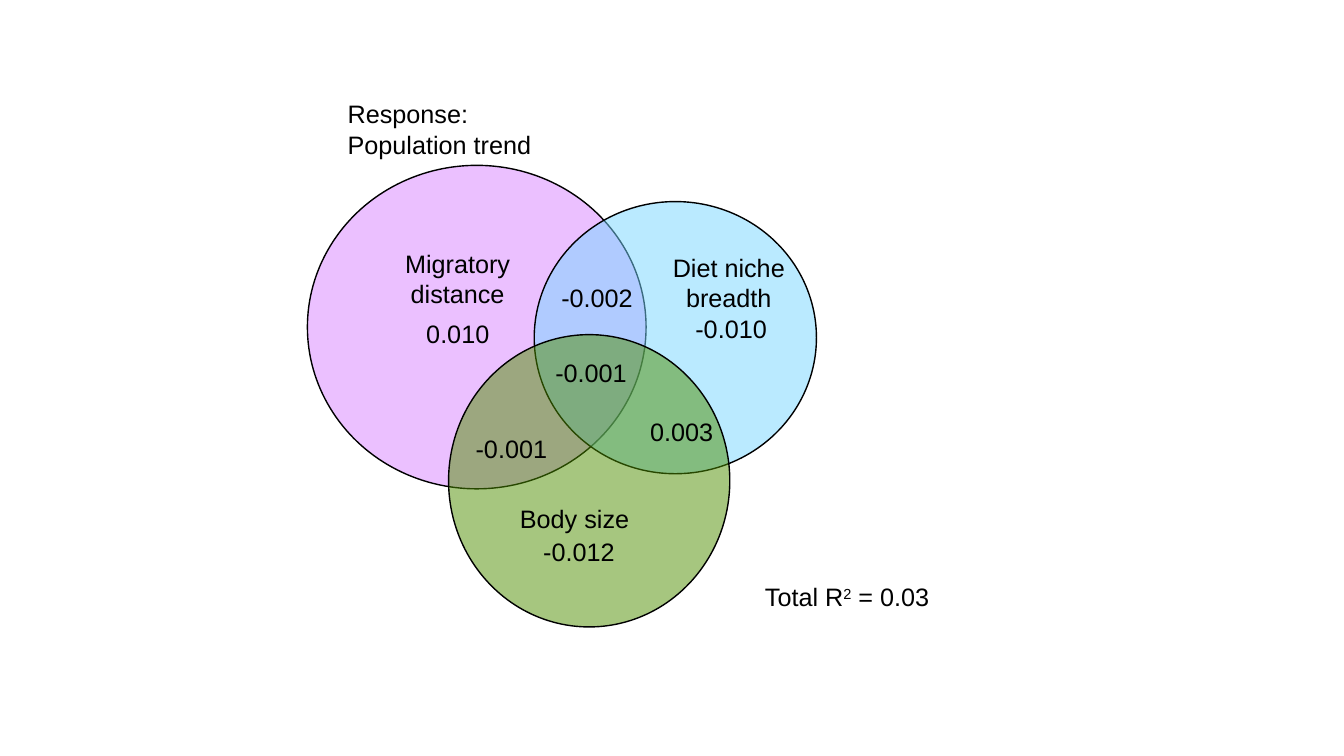
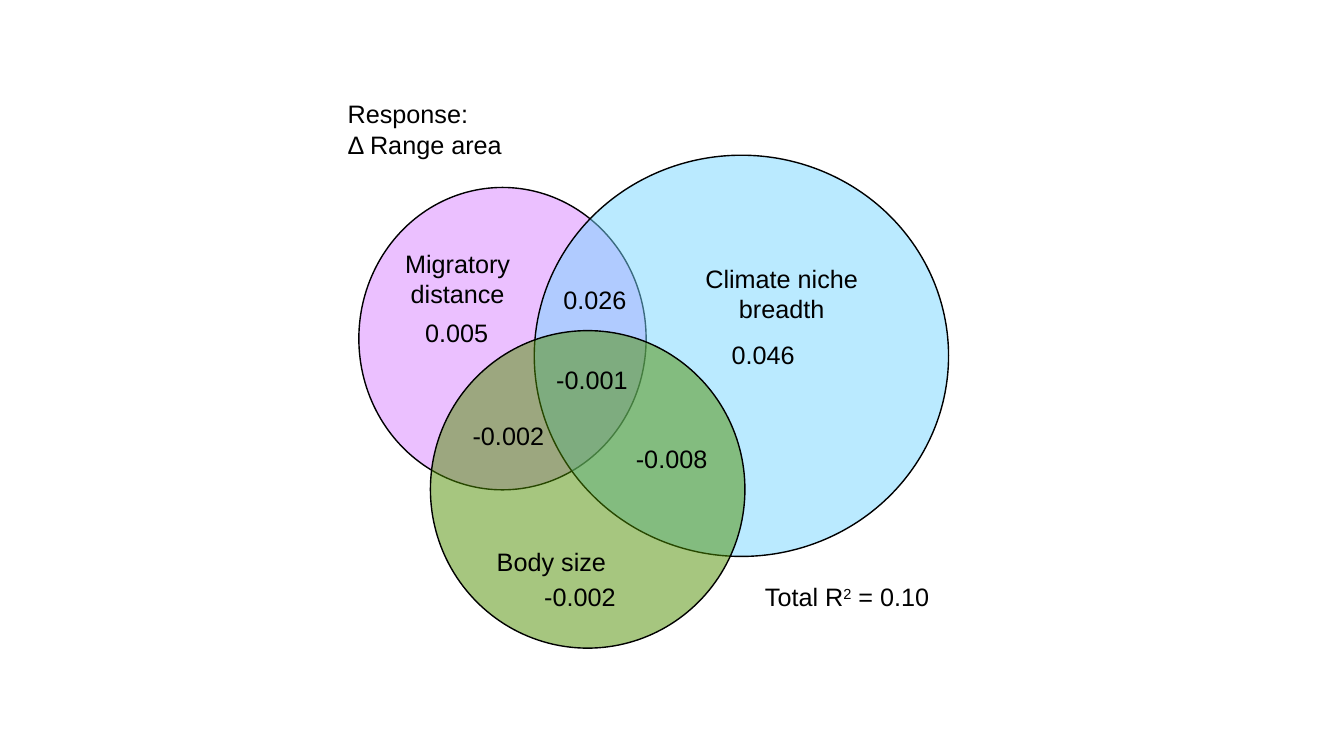
from lxml.etree import SubElement
from pptx import Presentation
from pptx.dml.color import RGBColor as RGB
from pptx.enum.shapes import MSO_SHAPE as SHAPE
from pptx.enum.text import PP_ALIGN as ALIGN
from pptx.oxml.ns import qn
from pptx.util import Inches, Pt

COLORS = {"migration": "D883FF", "niche": "76D6FF", "body": "4E8F00", "ink": "000000"}
FONT, SIZE = "Arial", 18
COLS, ROWS = 66, 60
LINE_ROWS = {1: 4, 2: 7.1}
VALUE_W = 13

TREND = {
    "response": "Population trend",
    "total": "0.03",
    "circles": {
        "migration": (0.5, 8.9, 33.6, 32.1),
        "niche": (23, 12.5, 28, 27),
        "body": (14.5, 25.7, 27.9, 29),
    },
    "niche": ("Diet niche breadth", 31.8, 17, 21),
    "body": (20.6, 41.9),
    "values": [
        ("-0.010", 38, 23.1), ("0.010", 11.3, 23.6), ("-0.001", 16.2, 35),
        ("0.003", 33.5, 33.3), ("-0.001", 24.1, 27.5), ("-0.002", 24.7, 20),
        ("-0.012", 22.9, 45.2),
    ],
}
RANGE = {
    "response": "Δ Range area",
    "total": "0.10",
    "circles": {
        "migration": (5.6, 11.1, 28.5, 30),
        "niche": (23, 7.9, 41.1, 39.8),
        "body": (12.7, 25.3, 31.2, 31.5),
    },
    "niche": ("Climate niche breadth", 37.5, 18.1, 20.1),
    "body": (18.3, 46.2),
    "values": [
        ("0.046", 41.6, 25.7), ("0.005", 11.2, 23.5), ("-0.002", 23, 49.7),
        ("0.026", 24.9, 20.2), ("-0.008", 32.1, 36), ("-0.001", 24.2, 28.2),
        ("-0.002", 15.9, 33.7),
    ],
}


def place(box, col, row, cols, rows):
    """Turn grid columns and rows of a box into slide lengths."""
    x, y, w, h = box
    cw, rh = w / COLS, h / ROWS
    return [int(v) for v in (x + col * cw, y + row * rh, cols * cw, rows * rh)]


def add_text(s, box, text, col, row, cols, lines=1, align=ALIGN.LEFT):
    """Write text on the grid; newlines split paragraphs and ^ toggles superscript."""
    tf = s.shapes.add_textbox(*place(box, col, row, cols, LINE_ROWS[lines])).text_frame
    tf.word_wrap = True
    for i, para in enumerate(text.split("\n")):
        p = tf.add_paragraph() if i else tf.paragraphs[0]
        p.alignment = align
        for j, part in enumerate(para.split("^")):
            r = p.add_run()
            r.text = part
            r.font.name, r.font.size = FONT, Pt(SIZE)
            r.font.color.rgb = RGB.from_string(COLORS["ink"])
            if j % 2:
                r._r.get_or_add_rPr().set("baseline", "30000")


def add_circle(s, box, color, cell):
    """Draw one half-transparent outlined ellipse."""
    sp = s.shapes.add_shape(SHAPE.OVAL, *place(box, *cell))
    sp.shadow.inherit = False
    sp.fill.solid()
    sp.fill.fore_color.rgb = RGB.from_string(color)
    fill = sp._element.spPr.find(qn("a:solidFill"))
    SubElement(fill[0], qn("a:alpha")).set("val", "50000")
    sp.line.color.rgb = RGB.from_string(COLORS["ink"])
    sp.line.width = Pt(1)


def add_venn(s, box, data):
    """Build a three-circle variance diagram inside the box."""
    for name, cell in data["circles"].items():
        add_circle(s, box, COLORS[name], cell)
    add_text(s, box, *data["niche"], lines=2, align=ALIGN.CENTER)
    add_text(s, box, "Body size", *data["body"], 20.1)
    add_text(s, box, "Migratory distance", 9, 16.6, 12.8, lines=2, align=ALIGN.CENTER)
    for value, col, row in data["values"]:
        add_text(s, box, value, col, row, VALUE_W)
    add_text(s, box, f"Total R^2^ = {data['total']}", 44.9, 49.7, 18.6)
    add_text(s, box, f"Response:\n{data['response']}", 3.5, 1.8, 26.6, lines=2)


def main():
    """Build and save both slides."""
    prs = Presentation()
    prs.slide_width, prs.slide_height = Inches(13.33), Inches(7.5)
    w, h = prs.slide_width, prs.slide_height
    box = (w * 0.225, h * 0.1, w * 0.495, h * 0.8)
    for data in (TREND, RANGE):
        add_venn(prs.slides.add_slide(prs.slide_layouts[6]), box, data)
    prs.save("out.pptx")


if __name__ == "__main__":
    main()
